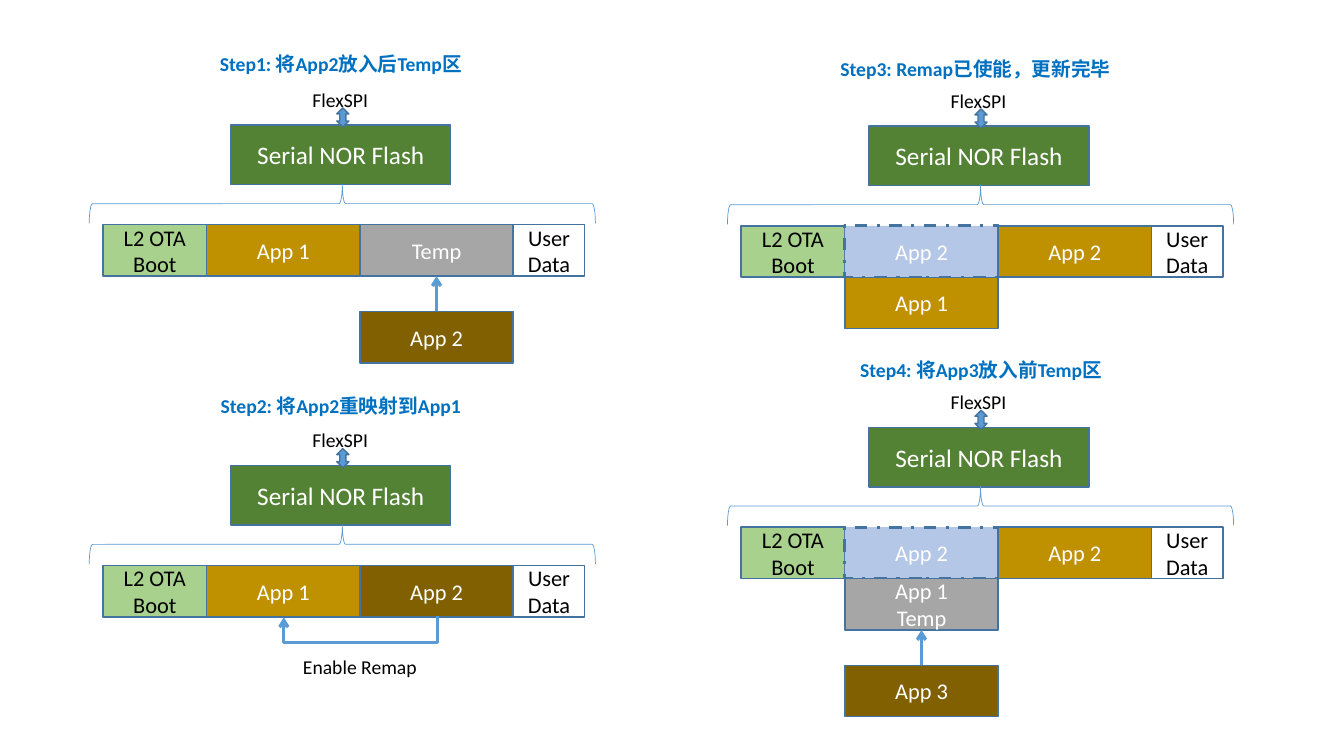
from pptx import Presentation
from pptx.dml.color import RGBColor as RGB
from pptx.enum.dml import MSO_LINE as Dash
from pptx.enum.shapes import MSO_CONNECTOR as Link, MSO_SHAPE as Form
from pptx.enum.text import MSO_ANCHOR as Anchor, PP_ALIGN as Align
from pptx.util import Inches, Pt
from lxml.etree import SubElement as Sub
from pptx.oxml.ns import qn

WHITE = RGB(0xFF, 0xFF, 0xFF)
BLACK = RGB(0, 0, 0)
TITLE = RGB(0x00, 0x70, 0xC0)
BLUE = RGB(0x5B, 0x9B, 0xD5)
EDGE = RGB(0x43, 0x73, 0x9E)
GREEN = RGB(0x54, 0x82, 0x35)
LIME = RGB(0xA9, 0xD1, 0x8E)
GOLD = RGB(0xBF, 0x90, 0x00)
BROWN = RGB(0x80, 0x60, 0x00)
GRAY = RGB(0xA6, 0xA6, 0xA6)
PALE = RGB(0xB4, 0xC7, 0xE7)

# Sizes shared by all memory maps
APP_W, CELL_H = 1.52, 0.51
WIDTHS = (1.03, APP_W, APP_W, 0.71)
ROW_DY = 1.49  # from the top of a map to its row of cells


def write(shape, text, size=16, color=WHITE, bold=False):
    frame = shape.text_frame
    frame.word_wrap = True
    frame.vertical_anchor = Anchor.MIDDLE
    frame.text = text
    for par in frame.paragraphs:
        par.alignment = Align.CENTER
        font = par.runs[0].font
        font.name, font.size, font.bold = "Calibri", Pt(size), bold
        font.color.rgb = color


def label(slide, text, x, y, w, **style):
    box = slide.shapes.add_textbox(Inches(x), Inches(y), Inches(w), Inches(0.49))
    write(box, text, **{"size": 14, "color": BLACK, **style})


def draw(slide, form, x, y, w, h, fill=None, edge=EDGE, width=1):
    shape = slide.shapes.add_shape(form, Inches(x), Inches(y), Inches(w), Inches(h))
    shape.shadow.inherit = False
    if fill is None:
        shape.fill.background()
    else:
        shape.fill.solid()
        shape.fill.fore_color.rgb = fill
    shape.line.color.rgb = edge
    shape.line.width = Pt(width)
    return shape


def cell(slide, text, x, y, w=APP_W, fill=None, color=WHITE, dash=False):
    box = draw(slide, Form.RECTANGLE, x, y, w, CELL_H, fill)
    if dash:
        box.line.width = Pt(2.25)
        box.line.dash_style = Dash.DASH_DOT
    write(box, text, color=color)


def arrow(slide, x1, y1, x2, y2, kind=Link.STRAIGHT):
    link = slide.shapes.add_connector(kind, Inches(x1), Inches(y1), Inches(x2), Inches(y2))
    link.line.color.rgb = BLUE
    link.line.width = Pt(2.25)
    Sub(link.line._get_or_add_ln(), qn("a:tailEnd"), type="arrow")
    Sub(link._element.spPr, qn("a:effectLst"))
    return link


def remap(slide, x1, x2, y, drop):
    """U-shaped arrow: a thin elbow turned by 90 degrees."""
    thin, mid, half = 0.01, (x1 + x2) / 2, (x1 - x2) / 2
    link = arrow(slide, mid, y - half, mid + thin, y + half, Link.ELBOW)
    props = link._element.spPr
    props.find(qn("a:xfrm")).set("rot", str(90 * 60000))
    guides = props.find(qn("a:prstGeom")).find(qn("a:avLst"))
    Sub(guides, qn("a:gd"), name="adj1", fmla=f"val {round(drop / thin * 100000)}")


def memory(slide, x, y, first, second):
    """Flash chip, brace and row of cells; returns the cells' left edges."""
    mid = x + 2.37
    label(slide, "FlexSPI", x + 1.82, y, 1.07)
    chip = draw(slide, Form.RECTANGLE, x + 1.27, y + 0.5, 2.18, 0.59, GREEN)
    write(chip, "Serial NOR Flash", size=18)
    brace = draw(slide, Form.LEFT_BRACE, mid - 0.19, y - 1.23, 0.39, 5.02,
                 edge=BLUE, width=0.5)
    brace.rotation = 90
    draw(slide, Form.UP_DOWN_ARROW, mid - 0.05, y + 0.33, 0.12, 0.19, BLUE)

    # Row of cells
    lefts = [x + sum(WIDTHS[:i]) for i in range(len(WIDTHS))]
    row = (dict(text="L2 OTA Boot", fill=LIME, color=BLACK), first, second,
           dict(text="User Data", color=BLACK))
    for left, w, spec in zip(lefts, WIDTHS, row):
        cell(slide, x=left, y=y + ROW_DY, w=w, **spec)
    return lefts


def feed(slide, text, x, top):
    """New app below a cell, with an arrow up to the cell's bottom edge."""
    gap, mid = 0.35, x + APP_W / 2
    cell(slide, text, x, top + gap, fill=BROWN)
    arrow(slide, mid, top + gap, mid, top)


def main():
    prs = Presentation()
    prs.slide_width, prs.slide_height = Inches(13.33), Inches(7.5)
    slide = prs.slides.add_slide(prs.slide_layouts[6])
    west, east = 1.02, 7.35
    app1 = dict(text="App 1", fill=GOLD)
    app2 = dict(text="App 2", fill=GOLD)
    mapped = dict(text="App 2", fill=PALE, dash=True)

    # Step headings
    for text, x, y, w in (
        ("Step1: 将App2放入后Temp区", 1.96, 0.39, 2.84),
        ("Step2: 将App2重映射到App1", 1.96, 3.78, 2.84),
        ("Step3: Remap已使能，更新完毕", 8.2, 0.44, 2.95),
        ("Step4: 将App3放入前Temp区", 8.31, 3.42, 2.84),
    ):
        label(slide, text, x, y, w, color=TITLE, bold=True)

    # Step 1: load App 2 into the rear area
    y = 0.74
    lefts = memory(slide, west, y, app1, dict(text="Temp", fill=GRAY))
    feed(slide, "App 2", lefts[2], y + ROW_DY + CELL_H)

    # Step 2: remap App 2 onto App 1
    y = 4.12
    lefts = memory(slide, west, y, app1, dict(text="App 2", fill=BROWN))
    remap(slide, lefts[2] + APP_W / 2, lefts[1] + APP_W / 2, y + ROW_DY + CELL_H, 0.26)
    label(slide, "Enable Remap", 2.81, 6.37, 1.52)

    # Step 3: remap is on
    y = 0.75
    lefts = memory(slide, east, y, mapped, app2)
    cell(slide, x=lefts[1], y=y + ROW_DY + CELL_H, **app1)

    # Step 4: load App 3 into the front area
    y = 3.74
    lefts = memory(slide, east, y, mapped, app2)
    below = y + ROW_DY + CELL_H
    cell(slide, "App 1\nTemp", lefts[1], below, fill=GRAY)
    feed(slide, "App 3", lefts[1], below + CELL_H)

    prs.save("out.pptx")


main()
